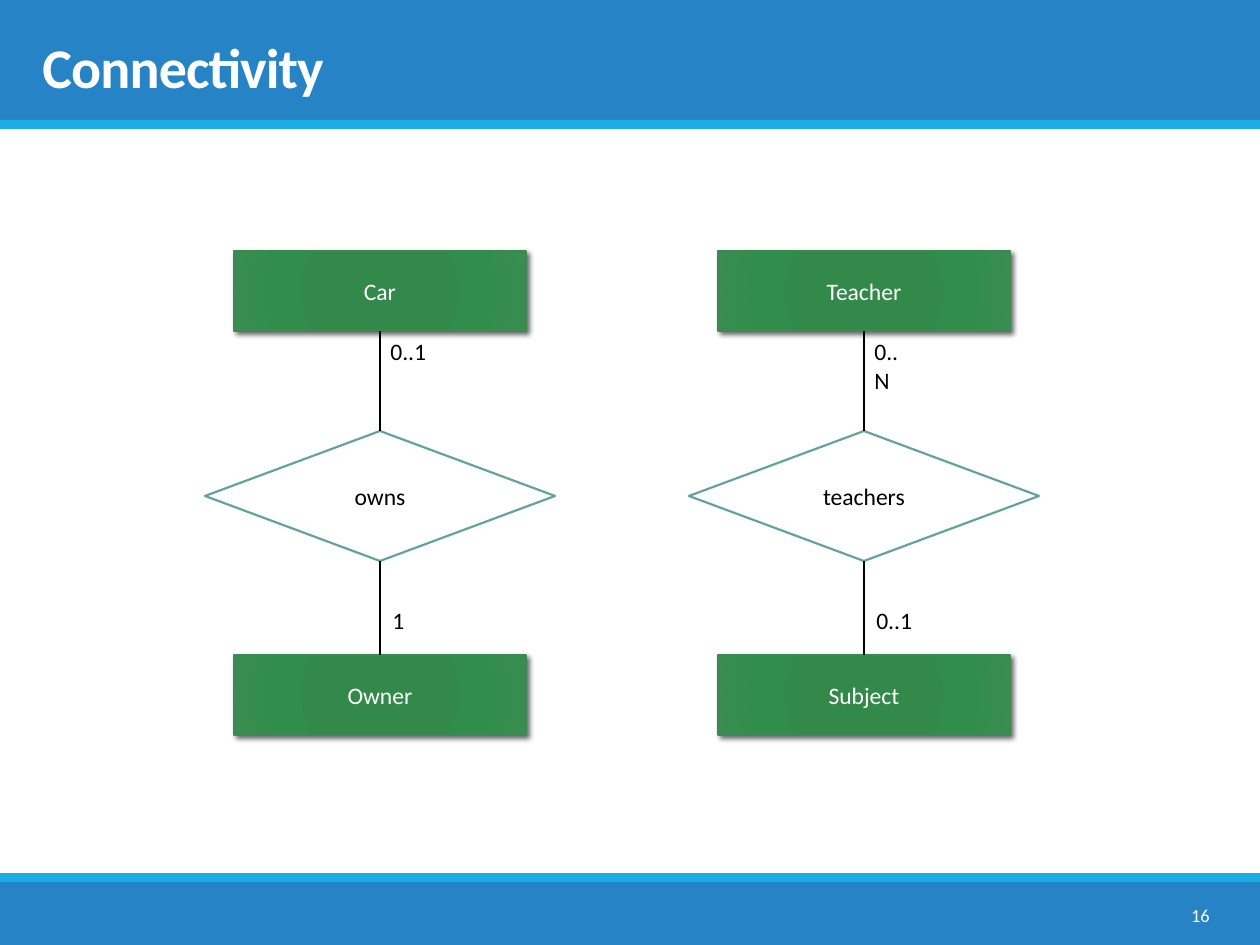
from lxml import etree
from pptx import Presentation
from pptx import util as u
from pptx.dml.color import RGBColor
from pptx.enum import shapes, text
from pptx.oxml import parse_xml
from pptx.oxml.ns import nsdecls, qn

SCALE = 914400 / 126
WIDTH, HEIGHT = 1260, 945
FONT = "Calibri"

WHITE = RGBColor(0xFF, 0xFF, 0xFF)
BLACK = RGBColor(0x00, 0x00, 0x00)
BLUE = RGBColor(0x26, 0x83, 0xC6)
CYAN = RGBColor(0x1C, 0xAD, 0xE4)
GREEN_EDGE = RGBColor(0x3E, 0x88, 0x53)
TEAL = RGBColor(0x62, 0xA3, 0x9F)
GREEN_STOPS = [
    (0, RGBColor(0x2F, 0x89, 0x49)),
    (34, RGBColor(0x32, 0x89, 0x4A)),
    (70, RGBColor(0x31, 0x8D, 0x4B)),
    (100, RGBColor(0x3A, 0x8C, 0x51)),
]

ENTITY_WIDTH, ENTITY_HEIGHT = 292, 80
RELATION_WIDTH, RELATION_HEIGHT = 350, 130
TOP_ENTITY, RELATION, BOTTOM_ENTITY = 251, 431, 655
TOP_LABEL, BOTTOM_LABEL = 331, 600
DIAGRAMS = [
    (380, "Car", "0..1", "owns", "1", "Owner"),
    (864, "Teacher", "0..N", "teachers", "0..1", "Subject"),
]


def px(length):
    return u.Emu(round(length * SCALE))


def write(box, words, size=13.5, color=BLACK, bold=False, align=text.PP_ALIGN.LEFT,
          anchor=text.MSO_ANCHOR.TOP, wrap=True, line_spacing=None, tracking=None):
    frame = box.text_frame
    frame.word_wrap = wrap
    frame.vertical_anchor = anchor
    para = frame.paragraphs[0]
    para.alignment = align
    para.line_spacing = line_spacing
    span = para.add_run()
    span.text = words
    span.font.name = FONT
    span.font.size = u.Pt(size)
    span.font.bold = bold
    span.font.color.rgb = color
    if tracking is not None:
        span.font._element.set("spc", str(round(tracking * 100)))


class Painter:
    def __init__(self, slide):
        self.slide = slide
        self.canvas = slide.shapes

    def start_group(self):
        self.canvas = self.slide.shapes.add_group_shape().shapes

    def end_group(self):
        self.canvas = self.slide.shapes

    def shape(self, kind, left, top, width, height, fill, line=None, weight=1):
        box = self.canvas.add_shape(kind, px(left), px(top), px(width), px(height))
        box.shadow.inherit = False
        box.fill.solid()
        box.fill.fore_color.rgb = fill
        if line is None:
            box.line.fill.background()
        else:
            box.line.color.rgb = line
            box.line.width = u.Pt(weight)
        return box

    def band(self, top, height, color):
        self.shape(shapes.MSO_SHAPE.RECTANGLE, 0, top, WIDTH, height, color)

    def entity(self, center, top, words):
        box = self.shape(shapes.MSO_SHAPE.RECTANGLE, center - ENTITY_WIDTH // 2, top,
                         ENTITY_WIDTH, ENTITY_HEIGHT, GREEN_STOPS[0][1], GREEN_EDGE)
        stops = "".join(f'<a:gs pos="{place * 1000}"><a:srgbClr val="{color}"/></a:gs>'
                        for place, color in GREEN_STOPS)
        gradient = parse_xml(
            f'<a:gradFill {nsdecls("a")} rotWithShape="1"><a:gsLst>{stops}</a:gsLst>'
            '<a:path path="circle"><a:fillToRect l="100000" t="100000" r="100000" b="100000"/>'
            '</a:path></a:gradFill>')
        properties = box._element.spPr
        properties.replace(properties.find(qn("a:solidFill")), gradient)
        properties.find(qn("a:effectLst")).append(parse_xml(
            f'<a:outerShdw {nsdecls("a")} blurRad="38100" dist="25400" dir="2700000" '
            'rotWithShape="0"><a:srgbClr val="000000"><a:alpha val="60000"/></a:srgbClr>'
            '</a:outerShdw>'))
        write(box, words, color=WHITE, align=text.PP_ALIGN.CENTER, anchor=text.MSO_ANCHOR.MIDDLE)
        return box

    def relation(self, center, top, words):
        box = self.shape(shapes.MSO_SHAPE.FLOWCHART_DECISION, center - RELATION_WIDTH // 2, top,
                         RELATION_WIDTH, RELATION_HEIGHT, WHITE, TEAL, 1.25)
        write(box, words, align=text.PP_ALIGN.CENTER, anchor=text.MSO_ANCHOR.MIDDLE)
        return box

    def link(self, upper, lower):
        line = self.canvas.add_connector(
            shapes.MSO_CONNECTOR.STRAIGHT, upper.left + upper.width // 2,
            upper.top + upper.height, lower.left + lower.width // 2, lower.top)
        line.begin_connect(upper, 2)
        line.end_connect(lower, 0)
        line.line.color.rgb = BLACK
        line.line.width = u.Pt(1.25)
        etree.SubElement(line._element.spPr, qn("a:effectLst"))

    def text(self, left, top, width, height, words, **style):
        box = self.canvas.add_textbox(px(left), px(top), px(width), px(height))
        write(box, words, **style)
        return box

    def label(self, left, top, words):
        box = self.text(left, top, 24 + 12 * len(words) // 1, 42, words, wrap=False) \
            if len(words) == 1 else self.text(left, top, 62, 42, words, wrap=False)
        box.text_frame.auto_size = text.MSO_AUTO_SIZE.SHAPE_TO_FIT_TEXT

    def diagram(self, center, upper, upper_count, verb, lower_count, lower):
        self.start_group()
        top = self.entity(center, TOP_ENTITY, upper)
        bottom = self.entity(center, BOTTOM_ENTITY, lower)
        middle = self.relation(center, RELATION, verb)
        self.link(top, middle)
        self.link(middle, bottom)
        self.label(center - 2, TOP_LABEL, upper_count)
        self.label(center, BOTTOM_LABEL, lower_count)
        self.end_group()


def main():
    deck = Presentation()
    deck.slide_width, deck.slide_height = px(WIDTH), px(HEIGHT)
    page = Painter(deck.slides.add_slide(deck.slide_layouts[6]))
    page.band(0, 121, BLUE)
    page.band(882, 63, BLUE)
    page.band(873, 9, CYAN)
    page.band(120, 9, CYAN)
    page.text(30, 10, 1191, 96, "Connectivity", size=32, color=WHITE, bold=True,
              anchor=text.MSO_ANCHOR.BOTTOM, line_spacing=0.85, tracking=-0.5)
    for diagram in DIAGRAMS:
        page.diagram(*diagram)
    page.text(1086, 890, 136, 50, "16", size=10.5, color=WHITE,
              align=text.PP_ALIGN.RIGHT, anchor=text.MSO_ANCHOR.MIDDLE)
    deck.save("out.pptx")


if __name__ == "__main__":
    main()
